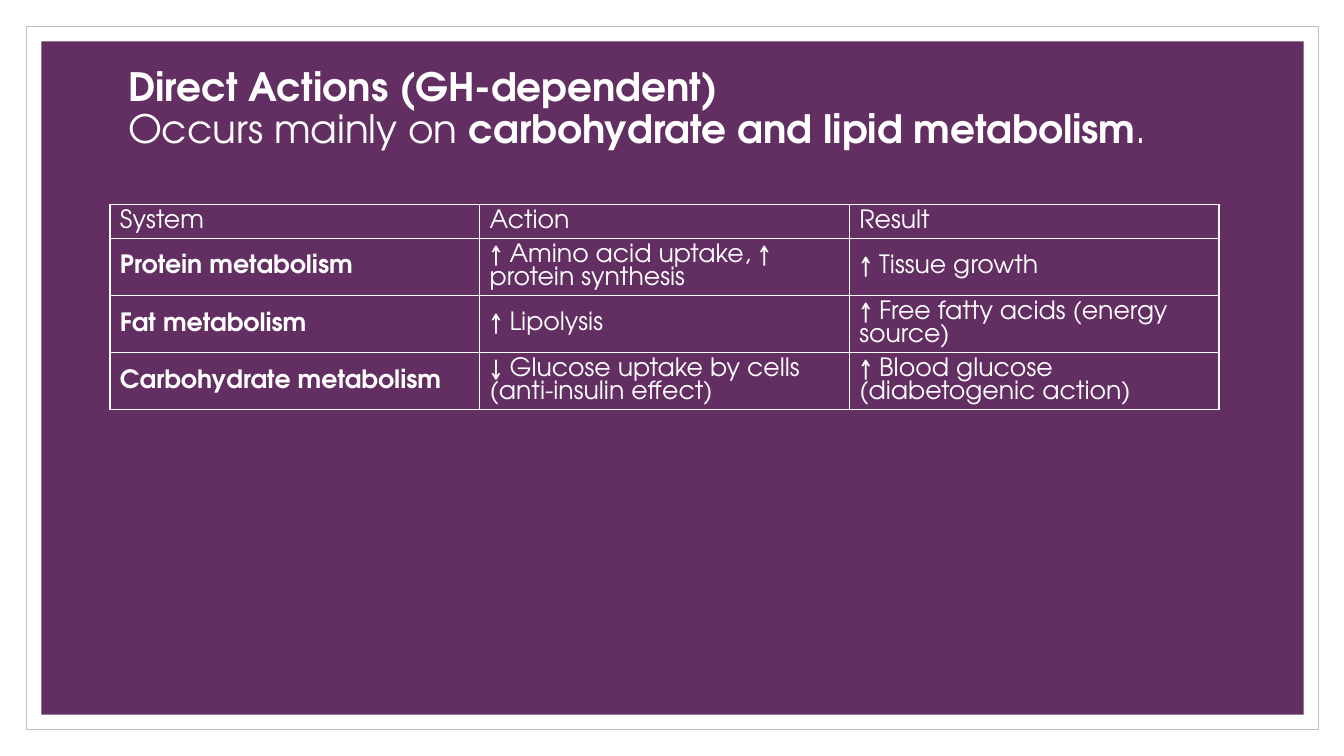
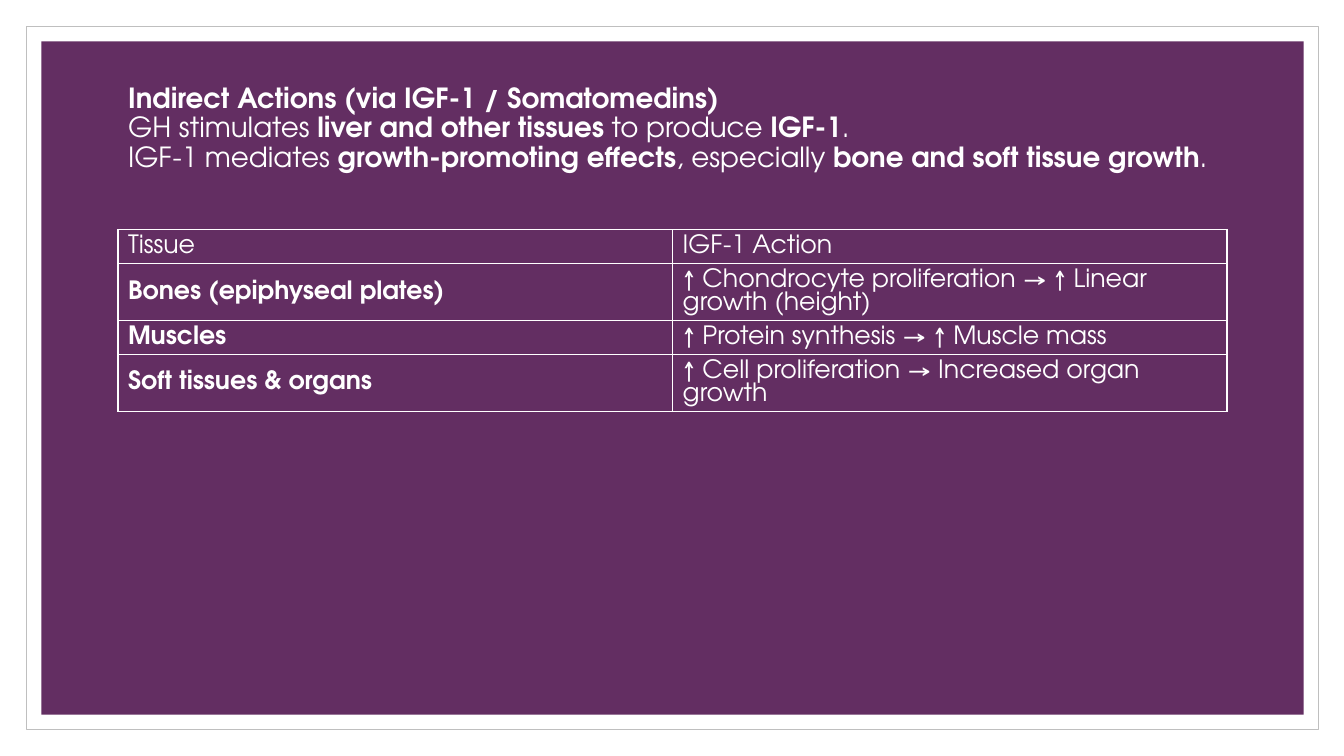
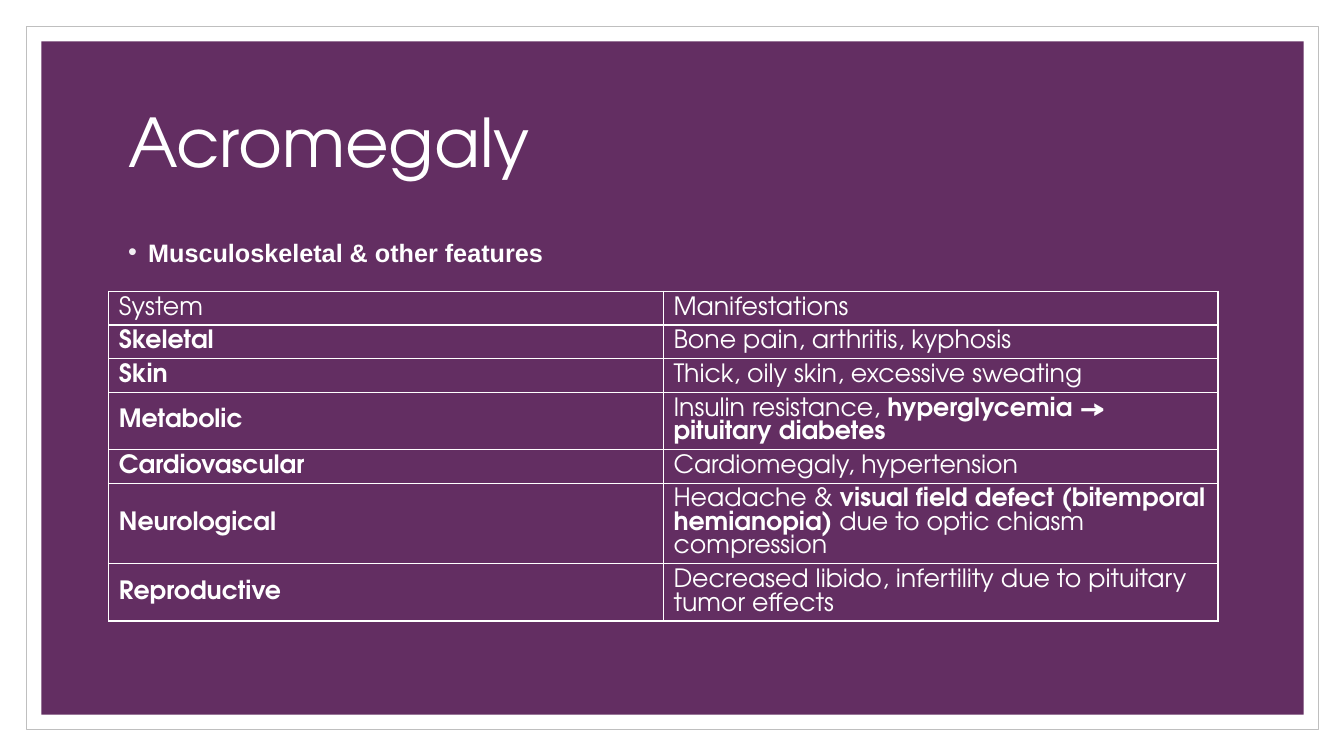
"""Build three slides on growth hormone actions and acromegaly."""
from dataclasses import dataclass
from typing import Optional

import lxml.etree
import pptx
import pptx.dml.color
import pptx.enum.shapes
import pptx.enum.text
import pptx.oxml.ns
import pptx.util

EMU_PER_PX = 9144
WHITE = pptx.dml.color.RGBColor(0xFF, 0xFF, 0xFF)
PURPLE = pptx.dml.color.RGBColor(0x63, 0x2E, 0x62)
FRAME_GREY = pptx.dml.color.RGBColor(0xBF, 0xBF, 0xBF)
BULLET_LILAC = pptx.dml.color.RGBColor(0xF2, 0xEF, 0xF3)
THEME_FONT = "TeX Gyre Adventor"
TITLE_AND_CONTENT, TITLE_ONLY = 1, 5
CONTENT_WIDTH = 1100
ROW_HEIGHT = 33


@dataclass(frozen=True)
class Box:
    """A rectangle in px."""
    left: int
    top: int
    width: int
    height: int

    def emu(self) -> tuple[int, ...]:
        """Return the rectangle in EMU."""
        return tuple(px(n) for n in (self.left, self.top, self.width, self.height))


@dataclass(frozen=True)
class Panel:
    """A filled rectangle of the shared background."""
    box: Box
    fill: pptx.dml.color.RGBColor
    line: Optional[pptx.dml.color.RGBColor] = None


@dataclass(frozen=True)
class TableSlide:
    """A title, an optional bullet and a table; ** marks bold text."""
    title: str
    title_size: float
    table_left: int
    table_top: int
    rows: list[list[str]]
    title_lift: int = 0
    bullet: Optional[str] = None


TITLE_BOX = Box(117, 70, CONTENT_WIDTH, 150)
BODY_BOX = Box(117, 230, CONTENT_WIDTH, 430)
PANELS = [
    Panel(Box(26, 26, 1282, 698), WHITE, FRAME_GREY),
    Panel(Box(41, 41, 1252, 668), PURPLE),
]
SLIDES = [
    TableSlide(
        "**Direct Actions (GH-dependent)**\n"
        "Occurs mainly on **carbohydrate and lipid metabolism**.",
        27.9, 109, 203,
        [
            ["System", "Action", "Result"],
            ["**Protein metabolism**", "↑ Amino acid uptake, ↑ protein synthesis", "↑ Tissue growth"],
            ["**Fat metabolism**", "↑ Lipolysis", "↑ Free fatty acids (energy source)"],
            ["**Carbohydrate metabolism**", "↓ Glucose uptake by cells (anti-insulin effect)",
             "↑ Blood glucose (diabetogenic action)"],
        ],
        title_lift=36,
    ),
    TableSlide(
        "**Indirect Actions (via IGF-1 / Somatomedins)**\n"
        "GH stimulates **liver and other tissues** to produce **IGF-1**.\n"
        "IGF-1 mediates **growth-promoting effects**, especially **bone and soft tissue growth**.",
        19.8, 117, 228,
        [
            ["Tissue", "IGF-1 Action"],
            ["**Bones (epiphyseal plates)**", "↑ Chondrocyte proliferation → ↑ Linear growth (height)"],
            ["**Muscles**", "↑ Protein synthesis → ↑ Muscle mass"],
            ["**Soft tissues & organs**", "↑ Cell proliferation → Increased organ growth"],
        ],
        title_lift=17,
    ),
    TableSlide(
        "Acromegaly", 48, 108, 289,
        [
            ["System", "Manifestations"],
            ["**Skeletal**", "Bone pain, arthritis, kyphosis"],
            ["**Skin**", "Thick, oily skin, excessive sweating"],
            ["**Metabolic**", "Insulin resistance, **hyperglycemia → pituitary diabetes**"],
            ["**Cardiovascular**", "Cardiomegaly, hypertension"],
            ["**Neurological**",
             "Headache & **visual field defect (bitemporal hemianopia)** due to optic chiasm compression"],
            ["**Reproductive**", "Decreased libido, infertility due to pituitary tumor effects"],
        ],
        bullet="**Musculoskeletal & other features**",
    ),
]


def px(length: int) -> int:
    """Turn px into EMU."""
    return length * EMU_PER_PX


def add_element(parent, tag: str, **attributes):
    """Append a DrawingML element and return it."""
    return lxml.etree.SubElement(parent, pptx.oxml.ns.qn(tag), **attributes)


def write_text(text_frame, text: str, *, size: float = 18, font: str = THEME_FONT,
               color=WHITE, line_spacing=None, anchor=None) -> None:
    """Write one left-aligned paragraph, with ** around bold parts."""
    text_frame.word_wrap = True
    if anchor is not None:
        text_frame.vertical_anchor = anchor
    paragraph = text_frame.paragraphs[0]
    paragraph.alignment = pptx.enum.text.PP_ALIGN.LEFT
    paragraph.space_before = pptx.util.Pt(0)
    if line_spacing is not None:
        paragraph.line_spacing = line_spacing
    for part_index, part in enumerate(text.split("**")):
        for line_index, line in enumerate(part.split("\n")):
            if line_index:
                paragraph.add_line_break()
            if line:
                run = paragraph.add_run()
                run.text = line
                run.font.size = pptx.util.Pt(size)
                run.font.name = font
                run.font.color.rgb = color
                run.font.bold = part_index % 2 == 1


def place(shape, box: Box) -> None:
    """Move a shape to a box."""
    shape.left, shape.top, shape.width, shape.height = box.emu()


def add_background(presentation, slide) -> None:
    """Draw the framed panels and move them to the slide master."""
    master_tree = presentation.slide_master.shapes.element
    for index, panel in enumerate(PANELS):
        shape = slide.shapes.add_shape(pptx.enum.shapes.MSO_SHAPE.RECTANGLE, *panel.box.emu())
        shape.shadow.inherit = False
        shape.fill.solid()
        shape.fill.fore_color.rgb = panel.fill
        if panel.line is None:
            shape.line.fill.background()
        else:
            shape.line.color.rgb = panel.line
            shape.line.width = pptx.util.Pt(0.5)
        master_tree.insert(2 + index, shape.element)


def fill_title(slide, content: TableSlide) -> None:
    """Fill the title placeholder, raised by the title lift."""
    title = slide.shapes.title
    place(title, TITLE_BOX)
    title.text_frame.auto_size = pptx.enum.text.MSO_AUTO_SIZE.NONE
    title.text_frame.margin_bottom = px(5 + 2 * content.title_lift)
    write_text(title.text_frame, content.title, size=content.title_size, line_spacing=0.9,
               anchor=pptx.enum.text.MSO_ANCHOR.MIDDLE)


def fill_bullet(slide, text: str) -> None:
    """Fill the body placeholder with one bullet."""
    body = slide.placeholders[1]
    place(body, BODY_BOX)
    body.text_frame.auto_size = pptx.enum.text.MSO_AUTO_SIZE.NONE
    write_text(body.text_frame, text, font="Arial")
    properties = body.text_frame.paragraphs[0]._p.get_or_add_pPr()
    properties.set("marL", str(px(20)))
    properties.set("indent", str(px(-20)))
    bullet_color = add_element(properties, "a:buClr")
    add_element(bullet_color, "a:srgbClr", val=str(BULLET_LILAC))
    add_element(properties, "a:buFont", typeface="Arial")
    add_element(properties, "a:buChar", char="•")


def set_borders(cell) -> None:
    """Give a cell white lines on all sides."""
    properties = cell._tc.get_or_add_tcPr()
    for index, side in enumerate(("a:lnL", "a:lnR", "a:lnT", "a:lnB")):
        line = add_element(properties, side, w=str(pptx.util.Pt(1)))
        add_element(add_element(line, "a:solidFill"), "a:srgbClr", val=str(WHITE))
        properties.insert(index, line)


def add_grid(slide, content: TableSlide) -> None:
    """Add the unfilled table with equal columns."""
    rows = content.rows
    box = Box(content.table_left, content.table_top, CONTENT_WIDTH, ROW_HEIGHT * len(rows))
    table = slide.shapes.add_table(len(rows), len(rows[0]), *box.emu()).table
    table.first_row = False
    table.horz_banding = False
    for row_index, row in enumerate(rows):
        for column_index, text in enumerate(row):
            cell = table.cell(row_index, column_index)
            cell.fill.background()
            cell.vertical_anchor = pptx.enum.text.MSO_ANCHOR.MIDDLE
            set_borders(cell)
            write_text(cell.text_frame, text, line_spacing=pptx.util.Pt(16.8))


def main() -> None:
    """Build and save the presentation."""
    presentation = pptx.Presentation()
    presentation.slide_width = px(1333)
    presentation.slide_height = px(750)
    for index, content in enumerate(SLIDES):
        layout = TITLE_AND_CONTENT if content.bullet else TITLE_ONLY
        slide = presentation.slides.add_slide(presentation.slide_layouts[layout])
        if index == 0:
            add_background(presentation, slide)
        fill_title(slide, content)
        if content.bullet:
            fill_bullet(slide, content.bullet)
        add_grid(slide, content)
    presentation.save("out.pptx")


if __name__ == "__main__":
    main()
